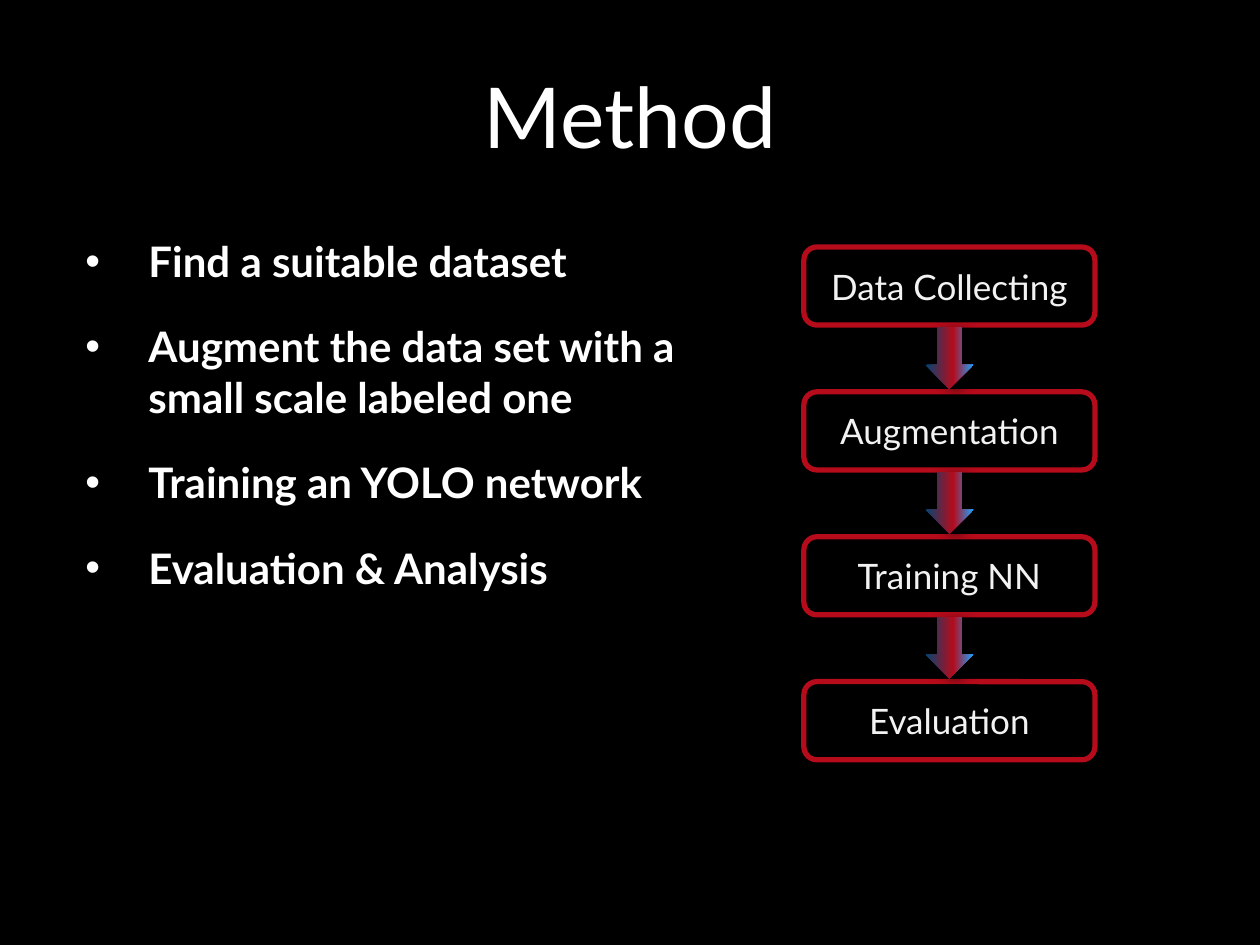
from lxml.etree import SubElement
from pptx import Presentation
from pptx.dml.color import RGBColor
from pptx.enum.shapes import MSO_SHAPE as Shape
from pptx.enum.text import MSO_ANCHOR as Anchor, PP_ALIGN as Align
from pptx.oxml import parse_xml
from pptx.oxml.ns import nsdecls, qn
from pptx.util import Inches, Pt

WIDTH, HEIGHT = 10, 7.5
WHITE, PALE, RED, BLACK = "FFFFFF", "F2F2F2", "B50B1B", "000000"
ARROW_STOPS = [(0, "014573"), (58, RED), (100, "1AA3FF")]
STEPS = ["Data Collecting", "Augmentation", "Training NN", "Evaluation"]
TASKS = [
    "Find a suitable dataset",
    "Augment the data set with a small scale labeled one",
    "Training an YOLO network",
    "Evaluation & Analysis",
]


def color(value):
    """Turn a hex string into a colour."""
    return RGBColor.from_string(value)


def place(item, box):
    """Move a shape to a box of left, top, width and height in inches."""
    item.left, item.top, item.width, item.height = map(Inches, box)


def write(frame, lines, size=24, fill=WHITE, bold=False, align=Align.LEFT,
          after=0, bullet=None, indent=0.5):
    """Fill a text frame with formatted paragraphs, bulleted on request."""
    frame.word_wrap = True
    frame.vertical_anchor = Anchor.MIDDLE
    for index, line in enumerate(lines):
        paragraph = frame.add_paragraph() if index else frame.paragraphs[0]
        paragraph.alignment = align
        paragraph.space_after = Pt(after)
        if bullet:
            props = paragraph._p.get_or_add_pPr()
            props.set("marL", str(Inches(indent)))
            props.set("indent", str(-Inches(indent)))
            SubElement(props, qn("a:buFont"), typeface="Arial")
            SubElement(props, qn("a:buChar"), char=bullet)
        run = paragraph.add_run()
        run.text = line
        font = run.font
        font.name, font.size, font.bold = "Lato", Pt(size), bold
        font.color.rgb = color(fill)


def add_heading(slide, box, text):
    """Place the slide title."""
    place(slide.shapes.title, box)
    write(slide.shapes.title.text_frame, [text], size=48, align=Align.CENTER)


def add_tasks(slide, box, tasks):
    """Place the bulleted list of tasks."""
    listing = slide.shapes.add_textbox(*map(Inches, box))
    write(listing.text_frame, tasks, bold=True, after=20, bullet="•")


def add_step(slide, box, text):
    """Place one outlined step of the flow."""
    step = slide.shapes.add_shape(Shape.ROUNDED_RECTANGLE, *map(Inches, box))
    step.shadow.inherit = False
    step.fill.background()
    step.line.color.rgb = color(RED)
    step.line.width = Pt(3)
    write(step.text_frame, [text], size=20, fill=PALE, align=Align.CENTER)


def add_arrow(slide, box):
    """Place one shaded arrow turned to point down."""
    arrow = slide.shapes.add_shape(Shape.RIGHT_ARROW, *map(Inches, box))
    arrow.rotation = 90
    arrow.line.fill.background()
    stops = "".join(
        f'<a:gs pos="{share * 1000}"><a:srgbClr val="{value}"/></a:gs>'
        for share, value in ARROW_STOPS)
    gradient = parse_xml(
        f'<a:gradFill {nsdecls("a")} rotWithShape="0"><a:gsLst>{stops}</a:gsLst>'
        '<a:lin ang="0" scaled="0"/></a:gradFill>')
    shadow = parse_xml(
        f'<a:effectLst {nsdecls("a")}><a:outerShdw blurRad="{Pt(7)}" dist="{Pt(4)}" '
        f'dir="{35 * 60000}" rotWithShape="0"><a:srgbClr val="{BLACK}">'
        '<a:alpha val="55000"/></a:srgbClr></a:outerShdw></a:effectLst>')
    props = arrow._element.spPr
    props.find(qn("a:prstGeom")).addnext(gradient)
    props.append(shadow)


def add_flow(slide, box, steps, step_height=0.62, arrow_size=(0.49, 0.38)):
    """Stack the steps evenly in a box, with an arrow below all but the last."""
    left, top, width, height = box
    pitch = (height - step_height) / (len(steps) - 1)
    for row, text in enumerate(steps):
        add_step(slide, (left, top + row * pitch, width, step_height), text)
    length, breadth = arrow_size
    arrow_left = left + (width - length) / 2
    for row in range(len(steps) - 1):
        arrow_top = top + row * pitch + step_height + 0.07
        add_arrow(slide, (arrow_left, arrow_top, length, breadth))


def main():
    """Build and save the method slide."""
    deck = Presentation()
    deck.slide_width, deck.slide_height = Inches(WIDTH), Inches(HEIGHT)
    slide = deck.slides.add_slide(deck.slide_layouts[5])
    slide.background.fill.solid()
    slide.background.fill.fore_color.rgb = color(BLACK)
    add_heading(slide, (0.075 * WIDTH, 0.13, 0.85 * WIDTH, 1.56), "Method")
    add_flow(slide, (6.38, 1.96, 2.31, 4.07), STEPS)
    add_tasks(slide, (0.58, 1.39, 5.23, 3.79), TASKS)
    deck.save("out.pptx")


if __name__ == "__main__":
    main()
